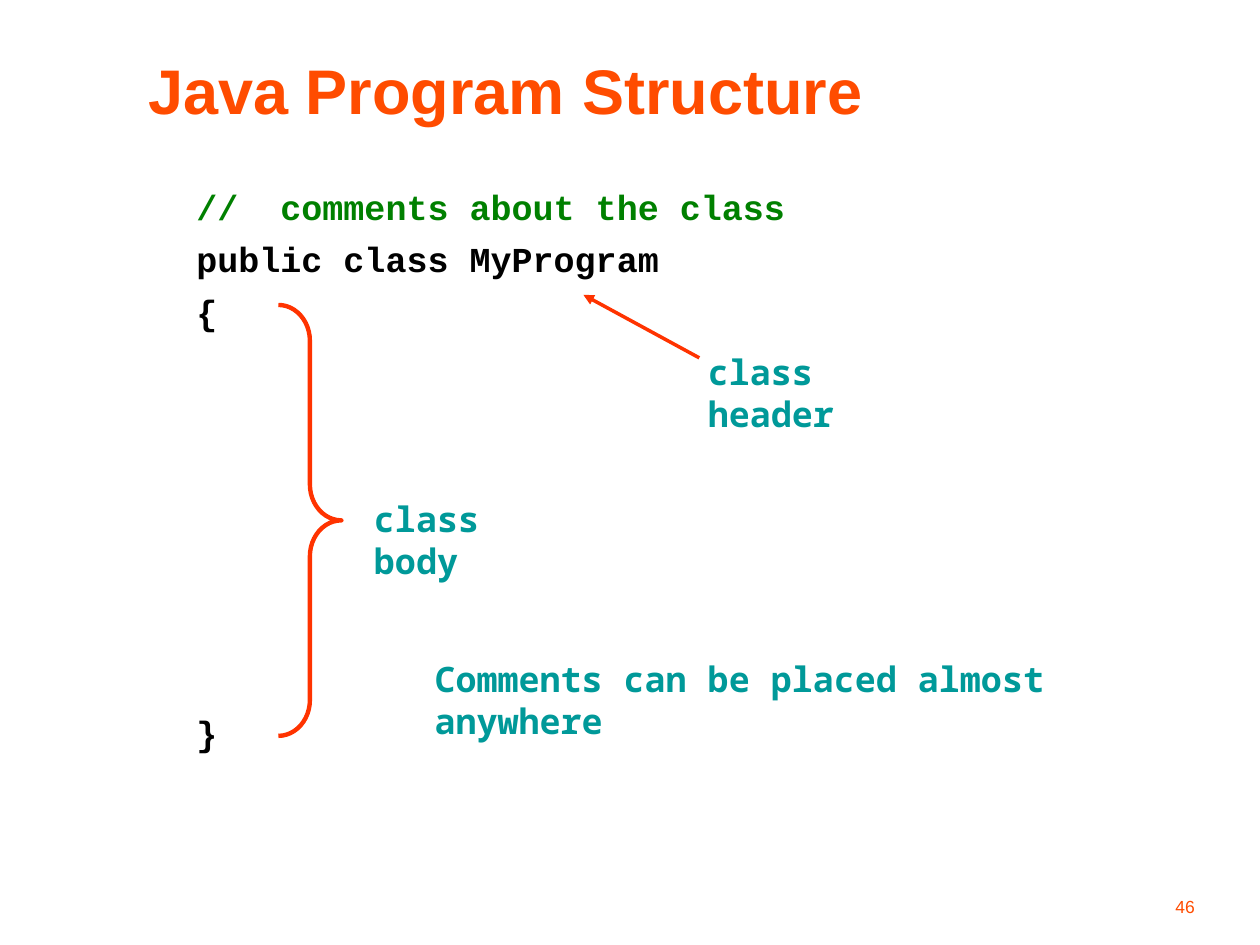
"""Build the Java Program Structure slide."""
import dataclasses

import lxml.etree
import pptx
import pptx.dml.color
import pptx.enum.shapes
import pptx.enum.text
import pptx.oxml.ns
import pptx.util

RGBColor = pptx.dml.color.RGBColor
ALIGN = pptx.enum.text.PP_ALIGN
ANCHOR = pptx.enum.text.MSO_ANCHOR

ORANGE = RGBColor(0xFF, 0x4C, 0x00)
RED = RGBColor(0xFF, 0x33, 0x00)
GREEN = RGBColor(0x00, 0x80, 0x00)
TEAL = RGBColor(0x00, 0x99, 0x99)
BLACK = RGBColor(0x00, 0x00, 0x00)

WIDTH = pptx.util.Inches(10)
HEIGHT = pptx.util.Inches(7.5)
CODE_LEFT, CODE_TOP, CODE_PITCH = 14.6, 18.93, 5.6
LINE_HEIGHT = 5.87

TITLE = dict(name="Arial", size=pptx.util.Pt(36), bold=True)
CODE = dict(name="Courier New", size=pptx.util.Pt(20), bold=True)
NOTE = dict(name="Noto Sans Mono", size=pptx.util.Pt(20), bold=True)
NUMBER = dict(name="Arial", size=pptx.util.Pt(10), bold=False)


@dataclasses.dataclass(frozen=True)
class Area:
    """A rectangle in percent of the slide's width and height."""

    left: float
    top: float
    width: float
    height: float = LINE_HEIGHT

    def lengths(self) -> tuple[int, int, int, int]:
        """Return left, top, width and height as slide lengths."""
        return across(self.left), down(self.top), across(self.width), down(self.height)


@dataclasses.dataclass(frozen=True)
class Label:
    """A piece of text with its place and look."""

    text: str
    area: Area
    font: dict
    color: RGBColor
    align: ALIGN = ALIGN.LEFT
    anchor: ANCHOR = ANCHOR.TOP


def across(share: float) -> int:
    """Turn a percentage of the slide's width into a length."""
    return round(WIDTH * share / 100)


def down(share: float) -> int:
    """Turn a percentage of the slide's height into a length."""
    return round(HEIGHT * share / 100)


def code_line(text: str, row: float, width: float, color: RGBColor = BLACK) -> Label:
    """Place a line of code on the given row of the listing."""
    area = Area(CODE_LEFT, CODE_TOP + row * CODE_PITCH, width)
    return Label(text, area, CODE, color)


LABELS = (
    Label("Java Program Structure", Area(10.8, 4.4, 86.7, 10), TITLE, ORANGE,
          anchor=ANCHOR.MIDDLE),
    code_line("//  comments about the class", 0, 49.5, GREEN),
    code_line("public class MyProgram", 1, 39.5),
    code_line("{", 2, 4),
    code_line("}", 9.94, 4),
    Label("class header", Area(55.2, 36.4, 19.3), NOTE, TEAL),
    Label("class body", Area(28.7, 52, 16.3), NOTE, TEAL),
    Label("Comments can be placed almost anywhere", Area(33.5, 68.93, 61.5), NOTE, TEAL),
    Label("46", Area(75, 92.1, 20.8, 5.6), NUMBER, ORANGE,
          align=ALIGN.RIGHT, anchor=ANCHOR.BOTTOM),
)


def draw_label(page: pptx.slide.Slide, label: Label) -> None:
    """Add a text box for one label."""
    frame = page.shapes.add_textbox(*label.area.lengths()).text_frame
    frame.word_wrap = True
    frame.vertical_anchor = label.anchor
    para = frame.paragraphs[0]
    para.alignment = label.align
    span = para.add_run()
    span.text = label.text
    for key, value in label.font.items():
        setattr(span.font, key, value)
    span.font.color.rgb = label.color


def draw_brace(page: pptx.slide.Slide, area: Area) -> None:
    """Add the brace that spans the class body."""
    brace = page.shapes.add_shape(
        pptx.enum.shapes.MSO_SHAPE.RIGHT_BRACE, *area.lengths())
    brace.adjustments[0] = 0.57
    brace.shadow.inherit = False
    brace.fill.background()
    brace.line.color.rgb = RED
    brace.line.width = pptx.util.Pt(2.5)


def draw_arrow(page: pptx.slide.Slide, start: tuple[float, float],
               end: tuple[float, float]) -> None:
    """Add an arrow whose head is at the end point."""
    arrow = page.shapes.add_connector(
        pptx.enum.shapes.MSO_CONNECTOR.STRAIGHT,
        across(start[0]), down(start[1]), across(end[0]), down(end[1]))
    arrow.line.color.rgb = RED
    arrow.line.width = pptx.util.Pt(2)
    qn = pptx.oxml.ns.qn
    outline = arrow._element.spPr.find(qn("a:ln"))
    lxml.etree.SubElement(outline, qn("a:tailEnd"), type="triangle")
    lxml.etree.SubElement(arrow._element.spPr, qn("a:effectLst"))


def main() -> None:
    """Build the deck and save it."""
    deck = pptx.Presentation()
    deck.slide_width, deck.slide_height = WIDTH, HEIGHT
    page = deck.slides.add_slide(deck.slide_layouts[6])
    for label in LABELS:
        draw_label(page, label)
    draw_brace(page, Area(22.1, 32.27, 5, 45.6))
    draw_arrow(page, (55.5, 37.87), (46.3, 31.2))
    deck.save("out.pptx")


if __name__ == "__main__":
    main()
